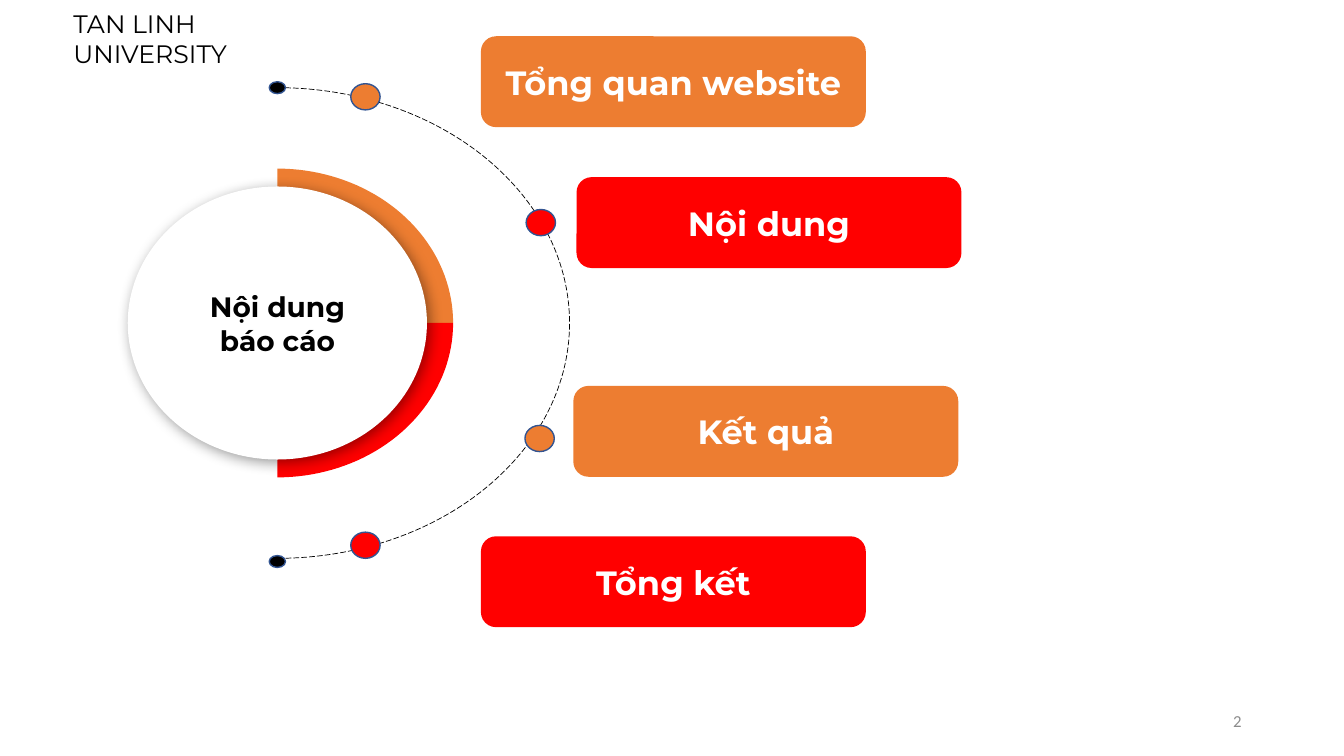
"""Build the report outline slide: a central title with four topics on an arc."""
from math import cos, pi, sin

from lxml.etree import SubElement
from pptx import Presentation
from pptx.dml.color import RGBColor
from pptx.enum.dml import MSO_LINE
from pptx.enum.shapes import MSO_SHAPE as Shape
from pptx.enum.text import MSO_ANCHOR as Anchor, MSO_AUTO_SIZE as AutoSize, PP_ALIGN as Align
from pptx.oxml.ns import qn
from pptx.util import Cm, Pt

COLOURS = {
    "orange": "ED7D31",
    "red": "FF0000",
    "white": "FFFFFF",
    "black": "000000",
    "outline": "325491",
    "grey": "8C8C8C",
}
FORMATS = {
    "topic": {"name": "Montserrat", "size": Pt(24), "bold": True},
    "title": {"name": "Montserrat", "size": Pt(20), "bold": True},
    "school": {"name": "Montserrat", "size": Pt(18), "bold": False},
    "number": {"name": "Calibri", "size": Pt(12), "bold": False},
}
HUB_X, HUB_Y = 6.99, 8.14


def add_centred(kind, centre, size, fill, outline=None):
    (x, y), (width, height) = centre, size
    part = slide.shapes.add_shape(
        kind, Cm(x - width / 2), Cm(y - height / 2), Cm(width), Cm(height)
    )
    part.shadow.inherit = False
    part.fill.solid()
    part.fill.fore_color.rgb = RGBColor.from_string(COLOURS[fill])
    if outline:
        part.line.color.rgb = RGBColor.from_string(COLOURS[outline])
        part.line.width = Pt(1)
    else:
        part.line.fill.background()
    return part


def write(holder, text, style, colour, align, anchor=Anchor.MIDDLE):
    frame = holder.text_frame
    frame.text = text
    layout = {"word_wrap": True, "auto_size": AutoSize.NONE, "vertical_anchor": anchor}
    for attribute, value in layout.items():
        setattr(frame, attribute, value)
    paragraph = frame.paragraphs[0]
    paragraph.alignment = align
    font = paragraph.runs[0].font
    for attribute, value in FORMATS[style].items():
        setattr(font, attribute, value)
    font.color.rgb = RGBColor.from_string(COLOURS[colour])


deck = Presentation()
deck.slide_width, deck.slide_height = Cm(33.87), Cm(19.05)
slide = deck.slides.add_slide(deck.slide_layouts[5])

for colour, direction in (("orange", -1), ("red", 1)):
    angles = [direction * pi / 2 * step / 40 for step in range(41)]
    rim = [(Cm(HUB_X + 4.43 * cos(a)), Cm(HUB_Y + 3.89 * sin(a))) for a in angles]
    builder = slide.shapes.build_freeform(Cm(HUB_X), Cm(HUB_Y))
    builder.add_line_segments(rim, close=True)
    quarter = builder.convert_to_shape()
    quarter.shadow.inherit = False
    quarter.fill.solid()
    quarter.fill.fore_color.rgb = RGBColor.from_string(COLOURS[colour])
    quarter.line.fill.background()

hub = add_centred(Shape.OVAL, (HUB_X, HUB_Y), (7.54, 6.88), "white")
effects = hub._element.spPr.find(qn("a:effectLst"))
hub_shadow = SubElement(
    effects, qn("a:outerShdw"), blurRad=str(Pt(10)), dist=str(Pt(3)), dir=str(45 * 60000)
)
shade = SubElement(hub_shadow, qn("a:srgbClr"), val=COLOURS["black"])
SubElement(shade, qn("a:alpha"), val="40000")

orbit = add_centred(Shape.ARC, (HUB_X, HUB_Y), (14.73, 11.86), "white", "black")
orbit.fill.background()
orbit.adjustments[0], orbit.adjustments[1] = 162, 54.75
orbit.line.width = Pt(0.5)
orbit.line.dash_style = MSO_LINE.LONG_DASH

for end_y in (2.21, 14.15):
    add_centred(Shape.OVAL, (HUB_X, end_y), (0.41, 0.3), "black", "outline")

topics = [
    ("Tổng quan website", "orange", (9.21, 2.44), (16.97, 2.06)),
    ("Nội dung", "red", (13.63, 5.61), (19.38, 5.61)),
    ("Kết quả", "orange", (13.6, 11.05), (19.3, 10.87)),
    ("Tổng kết", "red", (9.21, 13.74), (16.97, 14.66)),
]
for label, colour, dot_centre, bar_centre in topics:
    add_centred(Shape.OVAL, dot_centre, (0.74, 0.66), colour, "outline")
    bar = add_centred(Shape.ROUNDED_RECTANGLE, bar_centre, (9.7, 2.29), colour)
    write(bar, label, "topic", "white", Align.CENTER)

title = slide.shapes.title
title_box = {"left": 4.33, "top": 5.71, "width": 5.33, "height": 4.87}
for side, length in title_box.items():
    setattr(title, side, Cm(length))
write(title, "Nội dung báo cáo", "title", "black", Align.CENTER)
slide.shapes._spTree.append(title._element)

school = slide.shapes.add_textbox(Cm(1.6), Cm(0.08), Cm(4.98), Cm(1.8))
write(school, "TAN LINH UNIVERSITY", "school", "black", Align.LEFT, Anchor.TOP)

page_number = slide.shapes.add_textbox(Cm(23.92), Cm(17.66), Cm(7.62), Cm(1.01))
write(page_number, "2", "number", "grey", Align.RIGHT)

deck.save("out.pptx")
